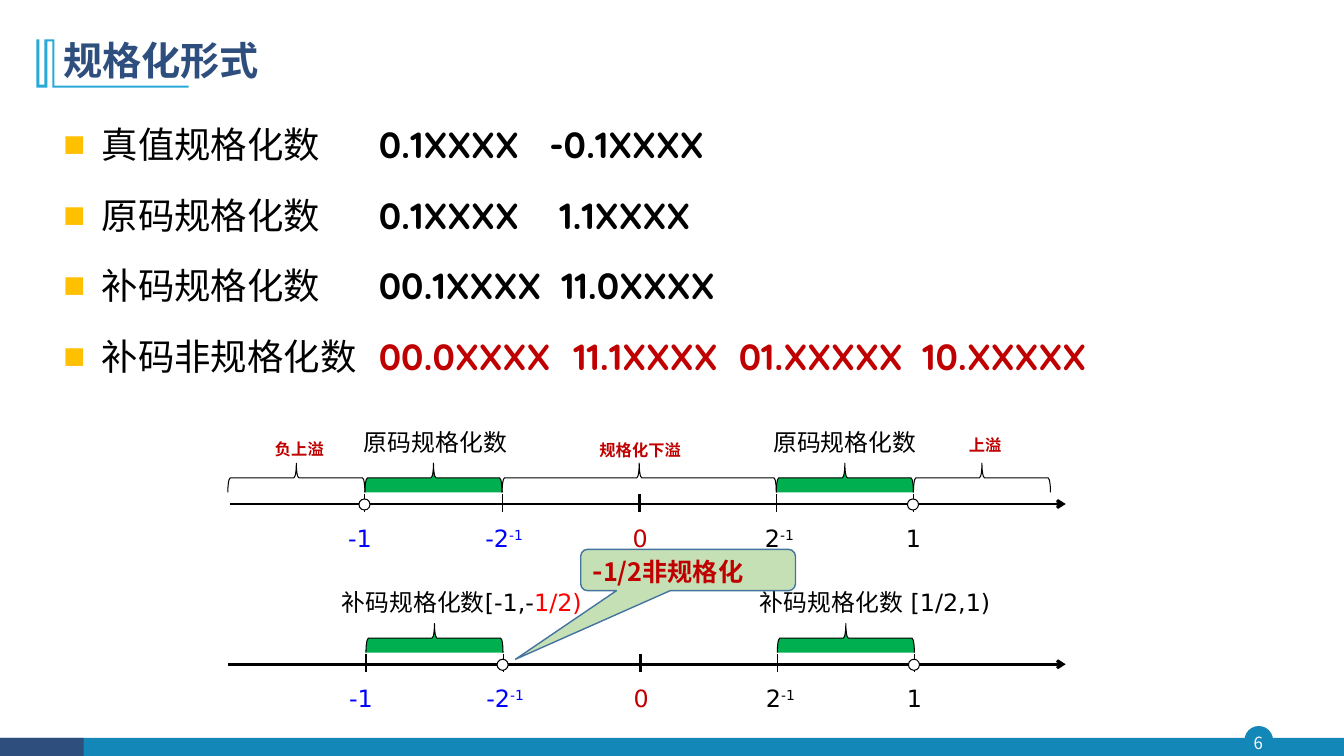
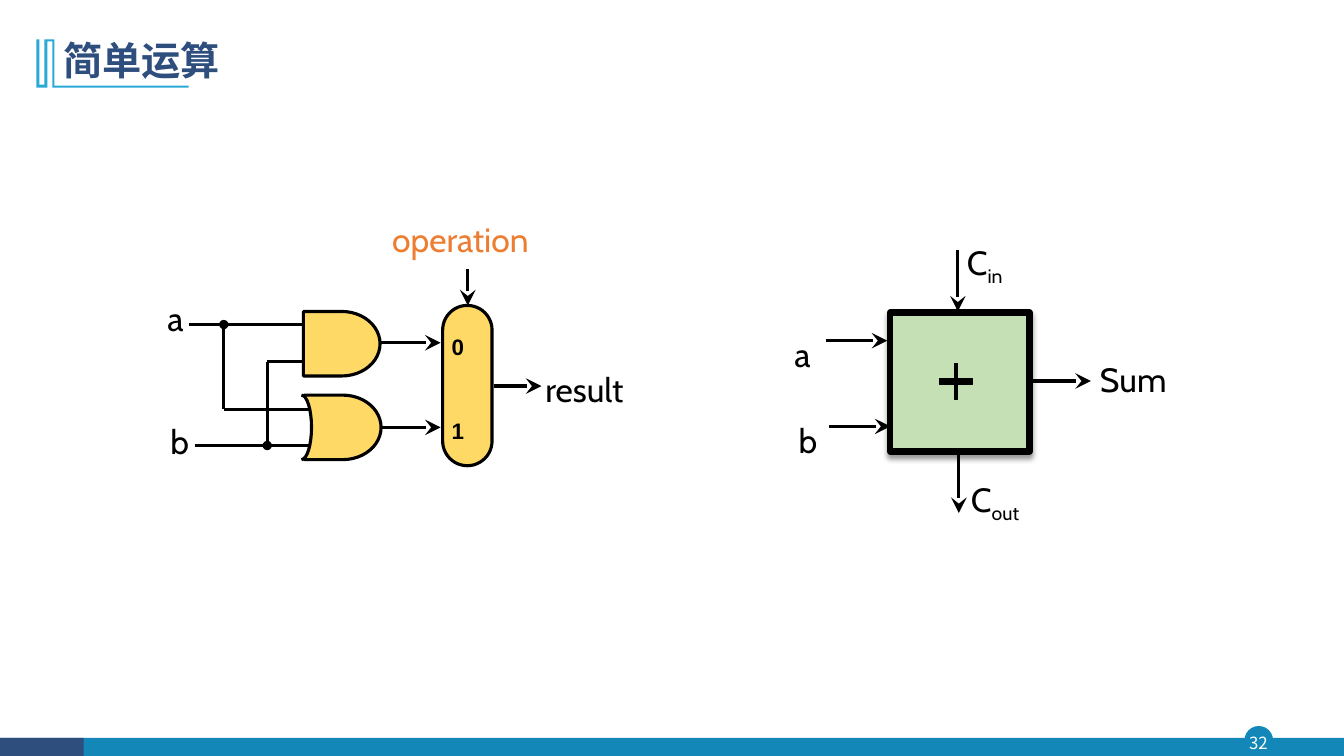
from math import cos, pi, sin

from lxml.etree import SubElement
from pptx import Presentation
from pptx.dml.color import RGBColor
from pptx.enum.shapes import MSO_CONNECTOR, MSO_SHAPE as Preset
from pptx.enum.text import MSO_ANCHOR as Anchor, PP_ALIGN as Align
from pptx.oxml.ns import qn
from pptx.util import Inches, Pt

# ---------- shared look ----------
WIDTH, HEIGHT = 13.33, 7.5
COLORS = {
    "black": "000000", "white": "FFFFFF", "navy": "2E4E7E", "band": "1387B7",
    "mark": "28A9D6", "bullet": "FFC000", "crimson": "C00000", "red": "FF0000",
    "blue": "0000FF", "green": "00B050", "mint": "C5E0B4", "edge": "43739E",
    "gate": "FFD966", "orange": "ED7D31",
}
CJK, LATIN, AXIS_FONT, DIGIT_FONT, CODE_FONT = (
    "Noto Sans CJK SC", "Cabin", "DejaVu Sans", "Arial", "Quicksand")
INSET = (0.1, 0.05)
FLUSH = (0, 0)
TITLE_MARK = [
    (0.54, 0.39), (0.54, 0.85), (1.87, 0.85), (1.87, 0.87), (0.52, 0.87),
    (0.52, 0.41), (0.47, 0.41), (0.47, 0.87), (0.36, 0.87), (0.36, 0.39),
    (0.39, 0.39), (0.39, 0.84), (0.44, 0.84), (0.44, 0.39),
]

# ---------- content: normalized forms ----------
FORMS = [  # label, codes, left edges of the codes after the first, colour
    ("真值规格化数", ["0.1XXXX", "-0.1XXXX"], [5.45], "black"),
    ("原码规格化数", ["0.1XXXX", "1.1XXXX"], [5.55], "black"),
    ("补码规格化数", ["00.1XXXX", "11.0XXXX"], [5.57], "black"),
    ("补码非规格化数", ["00.0XXXX", "11.1XXXX", "01.XXXXX", "10.XXXXX"],
     [5.69, 7.33, 9.15], "crimson"),
]
FORMS_TOP, FORMS_HEIGHT, CODES_LEFT = 1.03, 2.79, 3.76
TICKS = [  # base, exponent, colour, shift of the label
    ("-1", "", "blue", -0.05), ("-2", "-1", "blue", 0.02),
    ("0", "", "crimson", 0.01), ("2", "-1", "black", 0.03),
    ("1", "", "black", 0),
]
TICK_LEFT, TICK_STEP = 3.62, 1.36
OVERFLOW = {"size": 20, "font": CJK, "color": "crimson", "bold": True,
            "baseline": 30}
AXES = [  # spans: first tick, last tick, fill, label runs, shift, rise, format
    {"y": 5.0, "left": 2.28, "shift": 0, "open": [0, 4], "spans": [
        (-1, 0, None, [("负上溢", {})], 0.03, 0.66, OVERFLOW),
        (0, 1, "green", [("原码规格化数", {})], 0.02, 0.75, {}),
        (1, 3, None, [("规格化下溢", {})], 0.01, 0.65, OVERFLOW),
        (3, 4, "green", [("原码规格化数", {})], 0, 0.75, {}),
        (4, 5, None, [("上溢", {})], 0.03, 0.70, OVERFLOW)]},
    {"y": 6.59, "left": 2.26, "shift": 0.01, "open": [1, 4], "spans": [
        (0, 1, "green", [("补码规格化数[-1,-", {}), ("1/2)", {"color": "red"})],
         0.27, 0.75, {}),
        (3, 4, "green", [("补码规格化数 [1/2,1)", {})], 0.29, 0.75, {})]},
]
AXIS_RIGHT = 10.57

# ---------- content: simple operations ----------
WIRES = [  # from, to, head, tail
    ((2.65, 3.59), (3.01, 3.59), None, None),
    ((1.87, 3.22), (3.01, 3.22), None, None),
    ((3.77, 3.40), (4.37, 3.40), None, "stealth"),
    ((4.90, 3.83), (5.37, 3.83), None, "stealth"),
    ((4.64, 2.67), (4.64, 3.03), None, "stealth"),
    ((3.79, 4.24), (4.37, 4.24), None, "stealth"),
    ((2.22, 4.06), (3.06, 4.06), None, None),
    ((1.93, 4.42), (3.06, 4.42), None, None),
    ((2.22, 3.22), (2.22, 4.06), "oval", None),
    ((2.65, 4.42), (2.65, 3.59), "oval", None),
]
ADDER_WIRES = [
    ((8.19, 3.38), (8.80, 3.38)), ((8.22, 4.23), (8.83, 4.23)),
    ((10.21, 3.78), (10.82, 3.78)), ((9.51, 4.48), (9.51, 5.09)),
    ((9.50, 2.48), (9.50, 3.09)),
]
AND_GATE = (3.01, 3.09, 0.76, 0.64)
OR_GATE = (3.02, 3.92, 0.76, 0.64)
SELECTOR = (4.39, 3.03, 0.49, 1.59)
ADDER = (8.83, 3.10, 1.38, 1.38)
PLUS = (9.32, 3.61, 0.33, 0.35)
SIGNALS = [  # text, subscript, left, top, colour
    ("operation", "", 3.89, 2.17, "orange"), ("a", "", 1.66, 2.96, "black"),
    ("b", "", 1.69, 4.18, "black"), ("result", "", 5.41, 3.66, "black"),
    ("Sum", "", 10.91, 3.56, "black"), ("C", "in", 9.59, 2.40, "black"),
    ("C", "out", 9.63, 4.75, "black"), ("a", "", 7.88, 3.31, "black"),
    ("b", "", 7.92, 4.17, "black"),
]
INPUT_DIGITS = [("0", 3.30), ("1", 4.14)]


# ---------- drawing helpers ----------
def rgb(name):
    return RGBColor.from_string(COLORS[name])


def paint(part, fill=None, line=None, weight=0.75):
    part.shadow.inherit = False
    if fill:
        part.fill.solid()
        part.fill.fore_color.rgb = rgb(fill)
    else:
        part.fill.background()
    if line:
        part.line.color.rgb = rgb(line)
        part.line.width = Pt(weight)
    else:
        part.line.fill.background()
    return part


def add_preset(slide, preset, box, adjust=(), **look):
    part = slide.shapes.add_shape(preset, *map(Inches, box))
    for index, value in enumerate(adjust):
        part.adjustments[index] = value
    return paint(part, **look)


def add_outline(slide, points, close=True, **look):
    # pen coordinates are whole numbers, so work in EMU
    corners = [(Inches(x), Inches(y)) for x, y in points]
    pen = slide.shapes.build_freeform(*corners[0])
    pen.add_line_segments(corners[1:], close=close)
    return paint(pen.convert_to_shape(), **look)


def add_line(slide, start, end, weight, head=None, tail=None):
    line = slide.shapes.add_connector(
        MSO_CONNECTOR.STRAIGHT, *map(Inches, (*start, *end)))
    line.line.color.rgb = rgb("black")
    line.line.width = Pt(weight)
    properties = line._element.spPr
    stroke = properties.find(qn("a:ln"))
    for tag, kind in (("a:headEnd", head), ("a:tailEnd", tail)):
        if kind:
            size = "lg" if kind == "stealth" else "med"
            SubElement(stroke, qn(tag), type=kind, w=size, len=size)
    SubElement(properties, qn("a:effectLst"))


def write(paragraph, runs, **base):
    """Each run is (text, format values that differ from the base)."""
    for words, changes in runs:
        style = {"color": "black", "bold": False, "baseline": 0, **base, **changes}
        run = paragraph.add_run()
        run.text = words
        values = {"size": Pt(style["size"]), "name": style["font"],
                  "bold": style["bold"]}
        for key, value in values.items():
            setattr(run.font, key, value)
        run.font.color.rgb = rgb(style["color"])
        properties = run._r.get_or_add_rPr()
        SubElement(properties, qn("a:ea"), typeface=style["font"])
        if style["baseline"]:
            properties.set("baseline", str(style["baseline"] * 1000))


def set_frame(part, inset=INSET, anchor=Anchor.TOP):
    frame = part.text_frame
    across, down = map(Inches, inset)
    values = {"word_wrap": True, "vertical_anchor": anchor,
              "margin_left": across, "margin_right": across,
              "margin_top": down, "margin_bottom": down}
    for key, value in values.items():
        setattr(frame, key, value)
    return frame


def add_text(slide, box, runs=(), inset=INSET, anchor=Anchor.TOP,
             align=Align.LEFT, spacing=1.0, **style):
    frame = set_frame(slide.shapes.add_textbox(*map(Inches, box)), inset, anchor)
    first = frame.paragraphs[0]
    first.alignment, first.line_spacing = align, spacing
    write(first, runs, **style)
    return frame


def add_base(deck, title, number):
    slide = deck.slides.add_slide(deck.slide_layouts[6])
    add_preset(slide, Preset.OVAL, (12.35, 7.21, 0.27, 0.27),
               fill="band", line="band", weight=1)
    for width, color in ((WIDTH, "band"), (0.83, "navy")):
        add_preset(slide, Preset.RECTANGLE, (0, 7.32, width, HEIGHT - 7.32), fill=color)
    add_text(slide, (12.32, 7.21, 0.32, 0.31), [(number, {})], FLUSH,
             Anchor.MIDDLE, Align.CENTER, size=12, font=CJK, color="white")
    add_outline(slide, TITLE_MARK, fill="mark")
    add_text(slide, (0.53, 0.28, 11.5, 0.68), [(title, {})], anchor=Anchor.MIDDLE,
             spacing=0.9, size=28, font=CJK, color="navy", bold=True)
    return slide


# ---------- slide parts ----------
def add_bullet(paragraph):
    properties = paragraph._p.get_or_add_pPr()
    properties.set("marL", str(Inches(0.38)))
    properties.set("indent", str(-Inches(0.38)))
    tint = SubElement(properties, qn("a:buClr"))
    SubElement(tint, qn("a:srgbClr"), val=COLORS["bullet"])
    SubElement(properties, qn("a:buFont"), typeface="Arial")
    SubElement(properties, qn("a:buChar"), char="■")


def add_tabs(paragraph, edges):
    stops = SubElement(paragraph._p.get_or_add_pPr(), qn("a:tabLst"))
    for edge in edges:
        SubElement(stops, qn("a:tab"), pos=str(Inches(edge - CODES_LEFT)), algn="l")


def add_forms(slide):
    labels = add_text(slide, (0.53, FORMS_TOP, 3.3, FORMS_HEIGHT))
    codes = add_text(slide, (CODES_LEFT - INSET[0], FORMS_TOP, 9, FORMS_HEIGHT))
    for row, (label, values, edges, color) in enumerate(FORMS):
        pair = [frame.add_paragraph() if row else frame.paragraphs[0]
                for frame in (labels, codes)]
        add_bullet(pair[0])
        add_tabs(pair[1], edges)
        for paragraph in pair:
            paragraph.line_spacing = 1.3
            paragraph.space_before = Pt(10 if row else 0)
        write(pair[0], [(label, {})], size=26, font=CODE_FONT)
        write(pair[1], [("\t".join(values), {})], size=26, font=CODE_FONT,
              color=color, bold=True)


def add_axis_label(slide, center, top, width, runs, style):
    add_text(slide, (center - width / 2, top, width, 0.33), runs,
             align=Align.CENTER, spacing=0.8,
             **{"size": 17, "font": AXIS_FONT, **style})


def add_axis(slide, axis):
    y = axis["y"]

    def tick_x(index):
        return TICK_LEFT + axis["shift"] + index * TICK_STEP

    add_line(slide, (axis["left"], y), (AXIS_RIGHT, y), 2, tail="arrow")
    for index, (base, exponent, color, shift) in enumerate(TICKS):
        x = tick_x(index)
        add_line(slide, (x, y - 0.1), (x, y + 0.08), 2 if base == "0" else 0.75)
        runs = [(base, {})] + ([(exponent, {"baseline": 30})] if exponent else [])
        add_axis_label(slide, x + shift, y + 0.2, 1, runs, {"color": color})
    for first, last, fill, runs, shift, rise, style in axis["spans"]:
        length, depth = (last - first) * TICK_STEP, 0.29
        center = tick_x((first + last) / 2)
        brace = add_preset(
            slide, Preset.RIGHT_BRACE,
            (center - depth / 2, y - 0.26 - length / 2, depth, length),
            (0.083, 0.5), fill=fill, line="black")
        brace.rotation = 270
        add_axis_label(slide, center + shift, y - rise, 3, runs, style)
    for index in axis["open"]:
        add_preset(slide, Preset.OVAL, (tick_x(index) - 0.06, y - 0.05, 0.11, 0.11),
                   fill="white", line="black")


def add_callout(slide):
    note = add_preset(slide, Preset.ROUNDED_RECTANGULAR_CALLOUT,
                      (5.76, 5.45, 2.13, 0.41), (-0.804, 2.161, 0.167),
                      fill="mint", line="edge", weight=1)
    paragraph = set_frame(note, anchor=Anchor.MIDDLE).paragraphs[0]
    paragraph.alignment = Align.LEFT
    write(paragraph, [("-", {"size": 20}), ("1/2非规格化", {})],
          size=18, font=CJK, color="crimson", bold=True)


def add_logic_unit(slide):
    gate = {"fill": "gate", "line": "black", "weight": 2.25}
    for box in (AND_GATE, OR_GATE):
        add_preset(slide, Preset.FLOWCHART_DELAY, box, **gate)
    add_preset(slide, Preset.ROUNDED_RECTANGLE, SELECTOR, (0.5,), **gate)
    # curved input side of the OR gate
    _, top, _, height = OR_GATE
    steps = 16
    curve = [(2.99 + 0.1 * sin(pi * i / steps),
              top + height / 2 * (1 - cos(pi * i / steps)))
             for i in range(steps + 1)]
    add_outline(slide, curve, close=False, **{**gate, "fill": "white"})
    for start, end, head, tail in WIRES:
        add_line(slide, start, end, 2.25, head, tail)
    for digit, digit_top in INPUT_DIGITS:
        add_text(slide, (4.44, digit_top, 0.2, 0.29), [(digit, {})], FLUSH,
                 align=Align.CENTER, size=16, font=DIGIT_FONT, bold=True)


def add_adder(slide):
    adder = add_preset(slide, Preset.RECTANGLE, ADDER,
                       fill="mint", line="black", weight=4.5)
    shade = SubElement(adder._element.spPr.find(qn("a:effectLst")), qn("a:outerShdw"),
                       blurRad=str(Pt(4)), dist=str(Pt(3)), dir="5400000")
    tint = SubElement(shade, qn("a:srgbClr"), val=COLORS["black"])
    SubElement(tint, qn("a:alpha"), val="40000")
    add_preset(slide, Preset.CROSS, PLUS, (0.45,), fill="black", line="black")
    for start, end in ADDER_WIRES:
        add_line(slide, start, end, 2.25, tail="stealth")


def main():
    deck = Presentation()
    deck.slide_width, deck.slide_height = Inches(WIDTH), Inches(HEIGHT)

    forms = add_base(deck, "规格化形式", "6")
    add_forms(forms)
    for axis in AXES:
        add_axis(forms, axis)
    add_callout(forms)

    operations = add_base(deck, "简单运算", "32")
    add_logic_unit(operations)
    add_adder(operations)
    for name, subscript, left, top, color in SIGNALS:
        runs = [(name, {})] + ([(subscript, {"baseline": -25})] if subscript else [])
        add_text(operations, (left, top, 1.5, 0.4), runs, FLUSH,
                 size=24, font=LATIN, color=color)

    deck.save("out.pptx")


if __name__ == "__main__":
    main()
